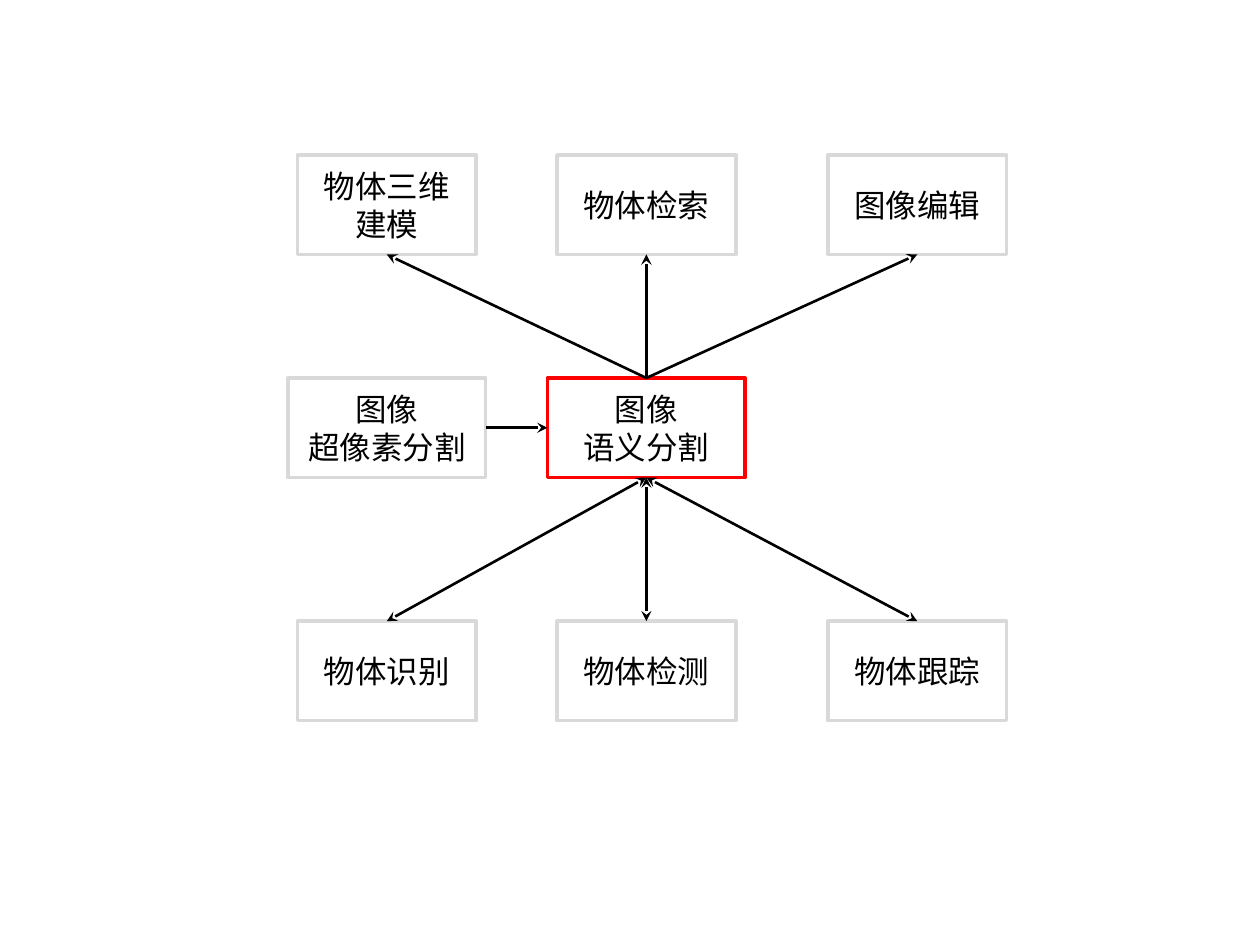
from lxml import etree
from pptx import Presentation
from pptx.dml.color import RGBColor
from pptx.enum.shapes import MSO_CONNECTOR, MSO_SHAPE
from pptx.enum.text import MSO_ANCHOR, PP_ALIGN
from pptx.oxml.ns import qn
from pptx.util import Inches, Pt

RECTANGLE = MSO_SHAPE.RECTANGLE
STRAIGHT = MSO_CONNECTOR.STRAIGHT
MIDDLE = MSO_ANCHOR.MIDDLE
CENTER = PP_ALIGN.CENTER
TOP, LEFT, BOTTOM, RIGHT = range(4)

BLACK, WHITE, GREY, RED = "000000", "FFFFFF", "D9D9D9", "FF0000"
FONT = {"name": "Calibri", "size": Pt(18)}
BOX_HEIGHT, TASK_WIDTH, CORE_WIDTH = 0.79, 1.42, 1.57
COLUMNS = (3.07, 5.13, 7.28)
APPLICATIONS_TOP, CORE_TOP, RECOGNITION_TOP = 1.23, 3, 4.93
APPLICATIONS = ("物体三维建模", "物体检索", "图像编辑")
RECOGNITION = ("物体识别", "物体检测", "物体跟踪")


def paint(target, color):
    """Give a fill a solid colour from a hex string."""
    target.solid()
    target.fore_color.rgb = RGBColor.from_string(color)


def add_box(page, center, top, width, lines, border=GREY):
    """Draw a bordered box centred on a column, one paragraph per line."""
    box = page.shapes.add_shape(
        RECTANGLE, Inches(center - width / 2), Inches(top), Inches(width), Inches(BOX_HEIGHT)
    )
    box.shadow.inherit = False
    paint(box.fill, WHITE)
    paint(box.line.fill, border)
    box.line.width = Pt(2)
    frame = box.text_frame
    frame.word_wrap = True
    frame.vertical_anchor = MIDDLE
    for index, text in enumerate(lines):
        para = frame.add_paragraph() if index else frame.paragraphs[0]
        para.alignment = CENTER
        span = para.add_run()
        span.text = text
        for name, value in FONT.items():
            setattr(span.font, name, value)
        paint(span.font.fill, BLACK)
    return box


def add_arrow(page, source, source_side, target, target_side, ends=("tailEnd",)):
    """Join two boxes with a line that has stealth arrowheads."""
    arrow = page.shapes.add_connector(STRAIGHT, 0, 0, 0, 0)
    arrow.begin_connect(source, source_side)
    arrow.end_connect(target, target_side)
    paint(arrow.line.fill, BLACK)
    arrow.line.width = Pt(1.5)
    properties = arrow.line.fill._xPr
    for end in ends:
        etree.SubElement(properties, qn("a:" + end), type="stealth")
    etree.SubElement(properties.getparent(), qn("a:effectLst"))


def add_task_row(page, top, labels):
    """Place one row of task boxes on the columns."""
    return [
        add_box(page, center, top, TASK_WIDTH, [label])
        for center, label in zip(COLUMNS, labels)
    ]


def add_diagram(page):
    """Draw the segmentation boxes, the task rows and their arrows."""
    superpixel, semantic = (
        add_box(page, center, CORE_TOP, CORE_WIDTH, ["图像", label], border)
        for center, label, border in zip(COLUMNS, ("超像素分割", "语义分割"), (GREY, RED))
    )
    applications = add_task_row(page, APPLICATIONS_TOP, APPLICATIONS)
    recognition = add_task_row(page, RECOGNITION_TOP, RECOGNITION)
    add_arrow(page, superpixel, RIGHT, semantic, LEFT)
    for box in applications:
        add_arrow(page, semantic, TOP, box, BOTTOM)
    for box in recognition:
        add_arrow(page, semantic, BOTTOM, box, TOP, ("headEnd", "tailEnd"))


deck = Presentation()
deck.slide_width, deck.slide_height = Inches(10), Inches(7.5)
page = deck.slides.add_slide(deck.slide_layouts[6])
add_diagram(page)
deck.save("out.pptx")
